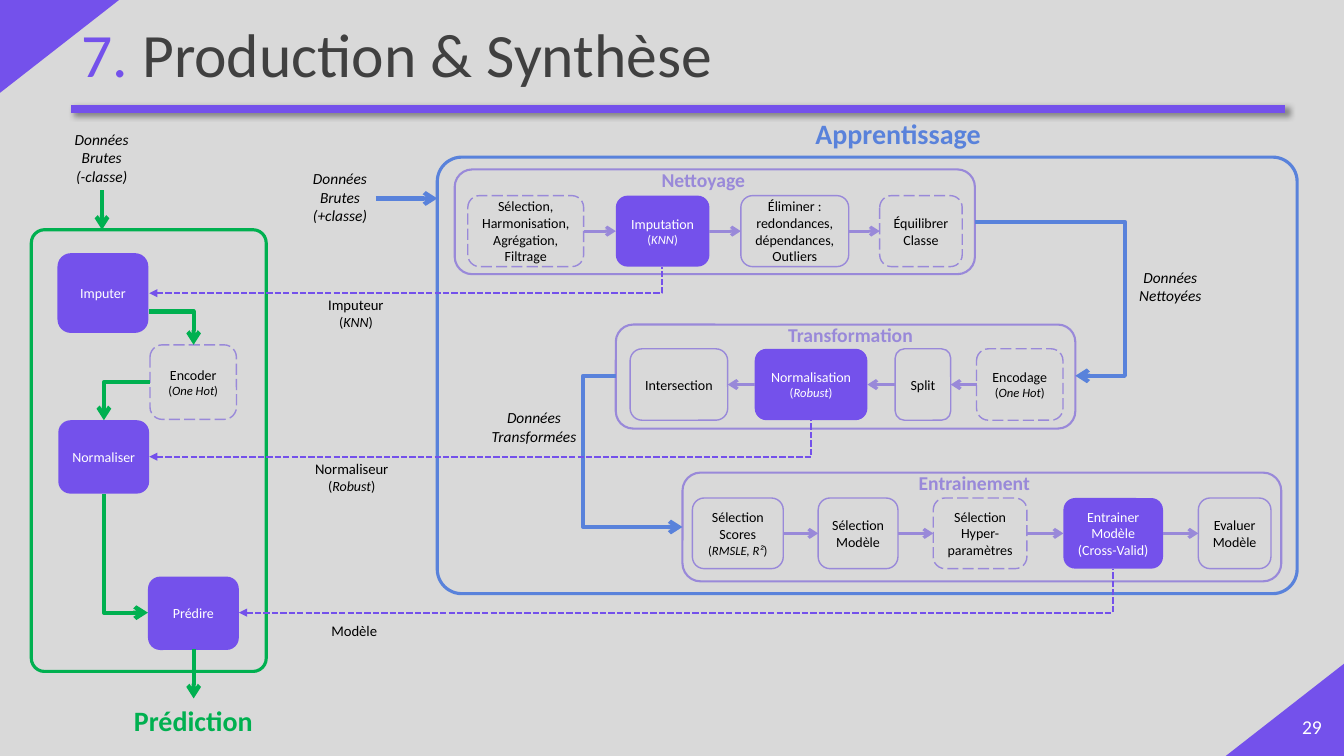
from dataclasses import dataclass
from typing import Optional

import pptx
import pptx.dml.color
import pptx.enum.dml
import pptx.enum.shapes
import pptx.enum.text
import pptx.oxml
import pptx.oxml.ns
import pptx.util
from pptx.dml.color import RGBColor
from pptx.enum.dml import MSO_LINE
from pptx.enum.shapes import MSO_CONNECTOR, MSO_SHAPE
from pptx.enum.text import MSO_ANCHOR, MSO_AUTO_SIZE, PP_ALIGN
from pptx.util import Cm, Pt

PURPLE = RGBColor(0x74, 0x51, 0xEB)
LILAC = RGBColor(0x99, 0x89, 0xD9)
BLUE = RGBColor(0x59, 0x82, 0xDB)
GREEN = RGBColor(0x00, 0xB0, 0x50)
GREY = RGBColor(0xD9, 0xD9, 0xD9)
DARK = RGBColor(0x40, 0x40, 0x40)
BLACK = RGBColor(0, 0, 0)
WHITE = RGBColor(0xFF, 0xFF, 0xFF)
FONT = "Calibri"
DRAWING = pptx.oxml.ns.nsdecls("a")


@dataclass
class Box:
    left: float
    top: float
    width: float
    height: float

    def emu(self) -> tuple:
        return Cm(self.left), Cm(self.top), Cm(self.width), Cm(self.height)


@dataclass
class Step:
    text: str
    left: float
    width: float
    kind: str = "plain"  # plain, optional (dashed) or key (filled)
    detail: str = ""


@dataclass
class Stage:
    title: str
    title_left: float
    frame: Box
    top: float
    height: float
    steps: list[Step]


@dataclass
class Label:
    text: str
    box: Box
    size: float = 11
    color: RGBColor = BLACK
    bold: bool = False
    italic: bool = False
    detail: str = ""


@dataclass
class Arrow:
    start: tuple[float, float]
    end: tuple[float, float]
    color: RGBColor
    width: float = 3
    bend: Optional[str] = None  # bentConnector2 leaves horizontally
    adjust: Optional[int] = None
    tip: str = "tailEnd"
    tip_type: str = "arrow"
    dash: Optional[MSO_LINE] = None


STAGES = [
    Stage("Nettoyage", 15.06, Box(11.46, 4.27, 13.11, 2.64), 4.93, 1.79, [
        Step("Sélection,\nHarmonisation,\nAgrégation,\nFiltrage", 11.79, 2.92, "optional"),
        Step("Imputation", 15.52, 2.36, "key", "KNN"),
        Step("Éliminer : redondances, dépendances,\nOutliers", 18.67, 2.72),
        Step("Équilibrer Classe", 22.17, 2.08, "optional")]),
    Stage("Transformation", 18.77, Box(15.52, 8.18, 11.58, 2.62), 8.79, 1.8, [
        Step("Encodage", 24.61, 2.18, "optional", "One Hot"),
        Step("Split", 22.56, 1.4),
        Step("Normalisation", 19.02, 2.84, "key", "Robust"),
        Step("Intersection", 15.88, 2.46)]),
    Stage("Entrainement", 21.89, Box(17.2, 11.91, 15.09, 2.74), 12.55, 1.78, [
        Step("Sélection\nScores", 17.45, 2.29, detail="RMSLE, R²"),
        Step("Sélection\nModèle", 20.62, 2.01),
        Step("Sélection\nHyper-paramètres", 23.52, 2.36, "optional"),
        Step("Entrainer\nModèle\n(Cross-Valid)", 26.8, 2.51, "key"),
        Step("Evaluer Modèle", 30.2, 1.83)]),
]
PREDICTION_STEPS = [  # step, top, height
    (Step("Imputer", 1.45, 2.29, "key"), 6.38, 2.01),
    (Step("Encoder", 3.78, 2.18, "optional", "One Hot"), 8.69, 1.88),
    (Step("Normaliser", 1.47, 2.29, "key"), 10.59, 1.85),
    (Step("Prédire", 3.73, 2.29, "key"), 14.53, 1.85),
]
LABELS = [
    Label("Prédiction", Box(1.52, 17.6, 6.71, 1.12), 20, GREEN, bold=True),
    Label("Apprentissage", Box(19.28, 2.82, 6.71, 1.12), 20, BLUE, bold=True),
    Label("Imputeur", Box(7.42, 7.34, 3.1, 1.14), 10.5, detail="KNN"),
    Label("Normaliseur", Box(7.01, 11.46, 3.71, 1.14), 10.5, detail="Robust"),
    Label("Modèle", Box(7.42, 15.54, 3.02, 0.74), 10.5),
    Label("Données\nNettoyées", Box(27.74, 6.63, 3.51, 1.19), italic=True),
    Label("Données\nTransformées", Box(11.43, 10.16, 4.06, 1.19), italic=True),
    Label("Données\nBrutes\n(+classe)", Box(7.21, 4.14, 2.72, 1.68), italic=True),
    Label("Données\nBrutes\n(-classe)", Box(0.81, 3.15, 3.51, 1.68), italic=True),
    Label("29", Box(32.39, 17.88, 1.35, 1.02), 14, WHITE),
]
FLOWS = [
    Arrow((9.47, 5), (11.02, 5), BLUE),
    Arrow((24.56, 5.59), (27.1, 9.47), BLUE, bend="bentConnector3", adjust=149200),
    Arrow((15.52, 9.47), (17.2, 13.28), BLUE, bend="bentConnector3", adjust=-49200),
    Arrow((2.57, 4.8), (2.57, 5.79), GREEN),
    Arrow((3.76, 7.85), (4.88, 8.69), GREEN, bend="bentConnector2"),
    Arrow((3.78, 9.63), (2.62, 10.59), GREEN, bend="bentConnector2"),
    Arrow((3.73, 15.44), (2.62, 12.45), GREEN, bend="bentConnector2", tip="headEnd"),
    Arrow((4.88, 16.36), (4.88, 17.6), GREEN),
] + [
    Arrow(start, end, PURPLE, 1.5, "bentConnector2", None, "headEnd", "triangle", MSO_LINE.SQUARE_DOT)
    for start, end in [((3.76, 7.39), (16.69, 6.73)), ((3.76, 11.51), (20.45, 10.59)),
                       ((6.02, 15.44), (28.04, 14.33))]
]


def style_run(run, size: float, color: RGBColor, bold: bool = False, italic: bool = False) -> None:
    run.font.name, run.font.size = FONT, Pt(size)
    run.font.color.rgb = color
    run.font.bold, run.font.italic = bold, italic


def write_text(text_frame, text: str, size: float, color: RGBColor, bold: bool = False,
               italic: bool = False, detail: str = "", detail_size: float = 9) -> None:
    """Write centred lines, then the detail in italics between upright brackets."""
    text_frame.word_wrap = True
    text_frame.text = text
    for paragraph in text_frame.paragraphs:
        for run in paragraph.runs:
            style_run(run, size, color, bold, italic)
    if detail:
        paragraph = text_frame.add_paragraph()
        for part in ("(", detail, ")"):
            run = paragraph.add_run()
            run.text = part
            style_run(run, detail_size, color, italic=part == detail)
    for paragraph in text_frame.paragraphs:
        paragraph.alignment = PP_ALIGN.CENTER


def add_preset(slide, preset: MSO_SHAPE, box: Box, fill: Optional[RGBColor] = None,
               line: Optional[RGBColor] = None, line_width: float = 1):
    shape = slide.shapes.add_shape(preset, *box.emu())
    shape.shadow.inherit = False
    if fill is None:
        shape.fill.background()
    else:
        shape.fill.solid()
        shape.fill.fore_color.rgb = fill
    if line is None:
        shape.line.fill.background()
    else:
        shape.line.color.rgb = line
        shape.line.width = Pt(line_width)
    return shape


def add_step(slide, step: Step, top: float, height: float) -> None:
    is_key = step.kind == "key"
    shape = add_preset(slide, MSO_SHAPE.ROUNDED_RECTANGLE, Box(step.left, top, step.width, height),
                       PURPLE if is_key else None, None if is_key else LILAC)
    if step.kind == "optional":
        shape.line.dash_style = MSO_LINE.LONG_DASH
    text_frame = shape.text_frame
    text_frame.vertical_anchor = MSO_ANCHOR.MIDDLE
    text_frame.margin_left = text_frame.margin_right = Cm(0.13)
    write_text(text_frame, step.text, 10, WHITE if is_key else BLACK, detail=step.detail)


def add_label(slide, label: Label) -> None:
    text_frame = slide.shapes.add_textbox(*label.box.emu()).text_frame
    write_text(text_frame, label.text, label.size, label.color, label.bold, label.italic, label.detail, 10)
    text_frame.auto_size = MSO_AUTO_SIZE.SHAPE_TO_FIT_TEXT


def add_line(slide, start: tuple, end: tuple, color: RGBColor, width: float, effects: str = ""):
    connector = slide.shapes.add_connector(
        MSO_CONNECTOR.STRAIGHT, *(Cm(value) for value in (*start, *end)))
    connector.line.color.rgb = color
    connector.line.width = Pt(width)
    connector._element.spPr.append(
        pptx.oxml.parse_xml(f"<a:effectLst {DRAWING}>{effects}</a:effectLst>"))
    return connector


def add_arrow(slide, arrow: Arrow) -> None:
    connector = add_line(slide, arrow.start, arrow.end, arrow.color, arrow.width)
    if arrow.dash is not None:
        connector.line.dash_style = arrow.dash
    properties = connector._element.spPr
    properties.find(pptx.oxml.ns.qn("a:ln")).append(
        pptx.oxml.parse_xml(f'<a:{arrow.tip} {DRAWING} type="{arrow.tip_type}"/>'))
    if arrow.bend:
        guide = "" if arrow.adjust is None else f'<a:gd name="adj1" fmla="val {arrow.adjust}"/>'
        geometry = properties.find(pptx.oxml.ns.qn("a:prstGeom"))
        properties.replace(geometry, pptx.oxml.parse_xml(
            f'<a:prstGeom {DRAWING} prst="{arrow.bend}"><a:avLst>{guide}</a:avLst></a:prstGeom>'))


def add_stage(slide, stage: Stage) -> None:
    add_preset(slide, MSO_SHAPE.ROUNDED_RECTANGLE, stage.frame, line=LILAC, line_width=1.5)
    add_label(slide, Label(stage.title, Box(stage.title_left, stage.frame.top - 0.17, 5.33, 0.86),
                           14, LILAC, bold=True))
    for step in stage.steps:
        add_step(slide, step, stage.top, stage.height)
    middle = stage.top + stage.height / 2
    for step, following in zip(stage.steps, stage.steps[1:]):
        if following.left > step.left:
            ends = step.left + step.width, following.left
        else:
            ends = step.left, following.left + following.width
        add_arrow(slide, Arrow((ends[0], middle), (ends[1], middle), LILAC, 2.25))


def add_heading(slide) -> None:
    title = slide.shapes.title
    title.left, title.top, title.width, title.height = Box(1.8, -0.38, 31.39, 3.68).emu()
    title.text_frame.vertical_anchor = MSO_ANCHOR.MIDDLE
    title.text_frame.auto_size = MSO_AUTO_SIZE.NONE
    paragraph = title.text_frame.paragraphs[0]
    paragraph.alignment, paragraph.line_spacing = PP_ALIGN.LEFT, 0.9
    for text, color in (("7.", PURPLE), (" Production & Synthèse", DARK)):
        run = paragraph.add_run()
        run.text = text
        style_run(run, 44, color)
    for left, top, rotation in ((0.33, -0.33, 90), (31.22, 16.38, 270)):
        corner = add_preset(slide, MSO_SHAPE.RIGHT_TRIANGLE, Box(left, top, 2.34, 3), PURPLE)
        corner.rotation = rotation
    add_line(slide, (1.8, 2.74), (32.39, 2.74), PURPLE, 6,
             '<a:outerShdw blurRad="50800" dist="38100" dir="2700000" algn="tl" rotWithShape="0">'
             '<a:srgbClr val="000000"><a:alpha val="40000"/></a:srgbClr></a:outerShdw>')


def main() -> None:
    presentation = pptx.Presentation()
    presentation.slide_width, presentation.slide_height = Cm(33.87), Cm(19.05)
    slide = presentation.slides.add_slide(presentation.slide_layouts.get_by_name("Title Only"))
    slide.background.fill.solid()
    slide.background.fill.fore_color.rgb = GREY
    add_heading(slide)
    for box, color in ((Box(11.02, 3.96, 21.67, 11), BLUE), (Box(0.79, 5.79, 5.92, 11.13), GREEN)):
        frame = add_preset(slide, MSO_SHAPE.ROUNDED_RECTANGLE, box, line=color, line_width=2.25)
        frame.adjustments[0] = 0.056 if color == BLUE else 0.056
    for stage in STAGES:
        add_stage(slide, stage)
    for step, top, height in PREDICTION_STEPS:
        add_step(slide, step, top, height)
    for label in LABELS:
        add_label(slide, label)
    for flow in FLOWS:
        add_arrow(slide, flow)
    presentation.save("out.pptx")


if __name__ == "__main__":
    main()
